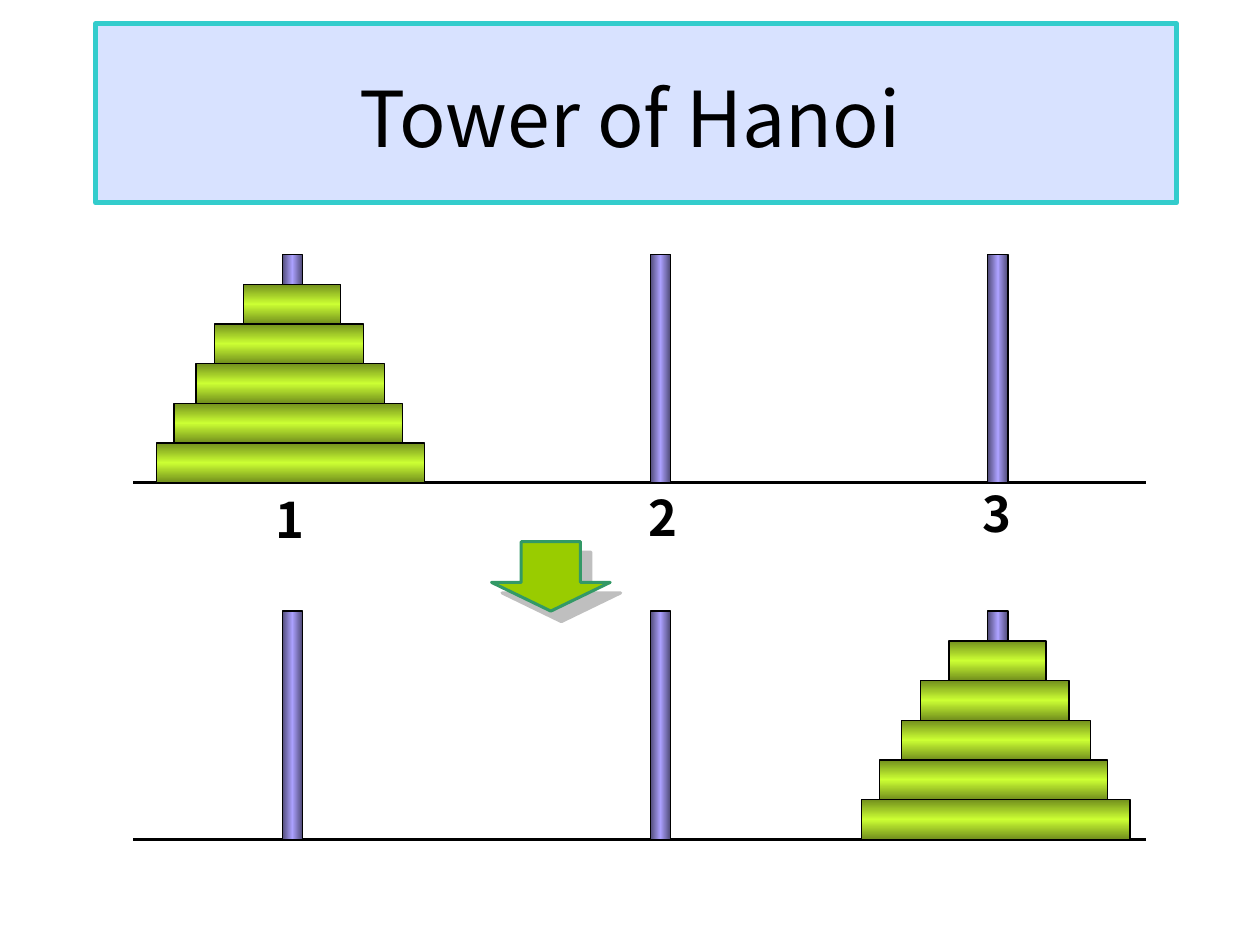
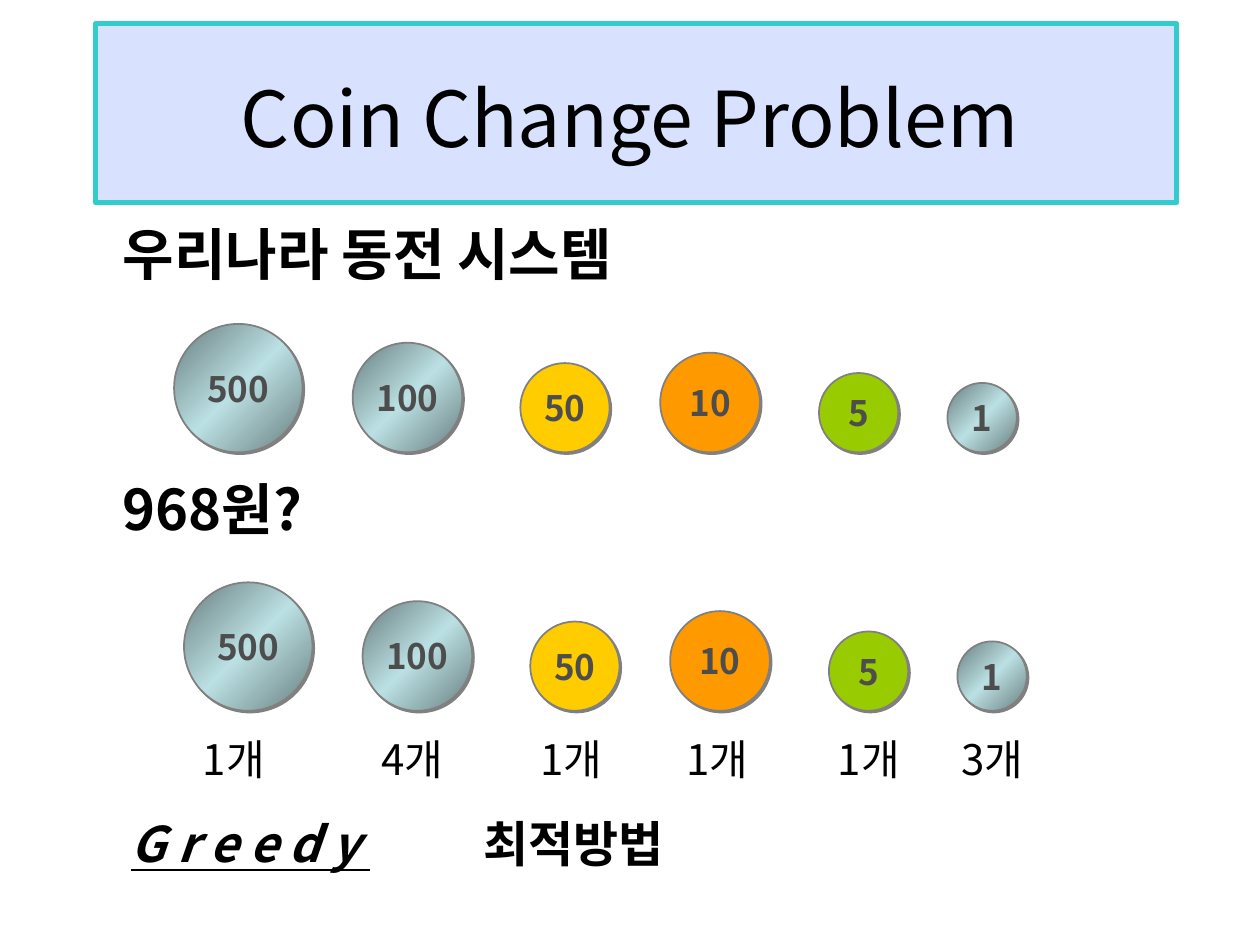
from copy import deepcopy

from lxml import etree
from pptx import Presentation
from pptx import util as u
from pptx.dml.color import RGBColor
from pptx.enum import shapes, text
from pptx.oxml import ns

FONT = "Noto Sans CJK KR"
BLACK = "000000"
PEG_COLOURS = ("4F4A76", "ABA0FE")
DISK_COLOURS = ("728F1D", "CCFF33")
SILVER = ("697E7F", "BBE0E3")
GREEN = "99CC00"
color = RGBColor.from_string


def add_shape(slide, kind, box, fill, line, width, angle=0, shadow=None):
    """fill is one hex colour, or (edge, middle) for a mirrored gradient."""
    shape = slide.shapes.add_shape(kind, *[u.Cm(n) for n in box])
    shape.shadow.inherit = False
    shape.line.color.rgb = color(line)
    shape.line.width = u.Pt(width)
    if isinstance(fill, str):
        shape.fill.solid()
        shape.fill.fore_color.rgb = color(fill)
    else:
        shape.fill.gradient()
        shape.fill.gradient_angle = angle
        stop_list = shape._element.spPr.find(".//" + ns.qn("a:gsLst"))
        stop_list.append(deepcopy(stop_list[0]))
        edge, middle = fill
        for stop, position, value in zip(shape.fill.gradient_stops, (0, 0.5, 1), (edge, middle, edge)):
            stop.position = position
            stop.color.rgb = color(value)
    if shadow:
        distance, alpha = shadow
        effects = shape._element.spPr.find(ns.qn("a:effectLst"))
        outer = etree.SubElement(effects, ns.qn("a:outerShdw"), dist=str(u.Pt(distance)),
                                 dir="2700000", algn="ctr", rotWithShape="0")
        shade = etree.SubElement(outer, ns.qn("a:srgbClr"), val="808080")
        etree.SubElement(shade, ns.qn("a:alpha"), val=str(alpha * 1000))
    return shape


def add_run(paragraph, words, size, bold=False, italic=False, underline=False, colour=BLACK):
    run = paragraph.add_run()
    run.text = words
    font = run.font
    font.size, font.bold, font.italic, font.underline = u.Pt(size), bold, italic, underline
    font.color.rgb = color(colour)
    font.name = FONT
    etree.SubElement(run._r.get_or_add_rPr(), ns.qn("a:ea"), typeface=FONT)


presentation = Presentation()
presentation.slide_width, presentation.slide_height = u.Cm(25.4), u.Cm(19.05)

# Slides with their title bands
slides = []
for layout, words in ((5, "Tower of Hanoi"), (1, "Coin Change Problem")):
    slide = presentation.slides.add_slide(presentation.slide_layouts[layout])
    band = add_shape(slide, shapes.MSO_SHAPE.RECTANGLE, (1.93, 0.48, 21.79, 3.61), "3366FF", "33CCCC", 3)
    tint = band._element.spPr.find(ns.qn("a:solidFill"))[0]
    etree.SubElement(tint, ns.qn("a:alpha"), val="19000")
    slide.shapes._spTree.insert(2, band._element)
    title = slide.shapes.title
    title.left, title.top, title.width, title.height = u.Cm(1.27), u.Cm(0.76), u.Cm(22.86), u.Cm(3.18)
    title.text_frame.auto_size = text.MSO_AUTO_SIZE.NONE
    title.text_frame.vertical_anchor = text.MSO_ANCHOR.MIDDLE
    title.text_frame.paragraphs[0].alignment = text.PP_ALIGN.CENTER
    add_run(title.text_frame.paragraphs[0], words, 44)
    slides.append(slide)
hanoi, coins = slides

# Tower of Hanoi: floors and pegs, before and after
peg_lefts = (5.69, 13.11, 19.91)
floors = (9.73, 16.92)
peg_height, disk_height = 4.6, 0.8
for floor in floors:
    line = hanoi.shapes.add_connector(shapes.MSO_CONNECTOR.STRAIGHT, u.Cm(2.69), u.Cm(floor), u.Cm(23.11), u.Cm(floor))
    line.line.color.rgb = color(BLACK)
    line.line.width = u.Pt(2)
    etree.SubElement(line._element.spPr, ns.qn("a:effectLst"))
    for left in peg_lefts:
        add_shape(hanoi, shapes.MSO_SHAPE.RECTANGLE, (left, floor - peg_height, 0.41, peg_height),
                  PEG_COLOURS, BLACK, 0.75)

# Disks, largest first: offset from the peg, width
disks = ((-2.54, 5.41), (-2.18, 4.6), (-1.74, 3.81), (-1.36, 3.0), (-0.78, 1.96))
for left, floor in ((peg_lefts[0], floors[0]), (peg_lefts[2], floors[1])):
    for level, (offset, width) in enumerate(disks, 1):
        add_shape(hanoi, shapes.MSO_SHAPE.RECTANGLE, (left + offset, floor - level * disk_height, width, disk_height),
                  DISK_COLOURS, BLACK, 0.75, angle=90)

arrow = add_shape(hanoi, shapes.MSO_SHAPE.DOWN_ARROW, (9.91, 10.92, 2.39, 1.4), GREEN, "339966", 1.75, shadow=(8.5, 50))
arrow.adjustments[0], arrow.adjustments[1] = 0.5, 0.413

# Coin change: headings
body = coins.placeholders[1]
body.left, body.top, body.width, body.height = u.Cm(1.27), u.Cm(4.45), u.Cm(22.86), u.Cm(12.57)
frame = body.text_frame
frame.auto_size = text.MSO_AUTO_SIZE.NONE
for paragraph, words, before in ((frame.paragraphs[0], "우리나라 동전 시스템", 0), (frame.add_paragraph(), "968원?", 111)):
    properties = paragraph._p.get_or_add_pPr()
    properties.set("marL", str(u.Cm(0.95)))
    properties.set("indent", "0")
    paragraph.space_before = u.Pt(before)
    paragraph.line_spacing = 0.9
    etree.SubElement(properties, ns.qn("a:buNone"))
    add_run(paragraph, words, 32, bold=True)

# Coins: value, left, diameter, fill
coin_set = (("500", 3.51, 2.59, SILVER), ("100", 7.11, 2.21, SILVER), ("50", 10.49, 1.8, "FFCC00"),
            ("10", 13.31, 2.01, "FF9900"), ("5", 16.51, 1.6, GREEN), ("1", 19.1, 1.4, SILVER))
for shift, bottom in ((0, 9.12), (0.2, 14.33)):
    for value, left, size, fill in coin_set:
        coin = add_shape(coins, shapes.MSO_SHAPE.OVAL, (left + shift, bottom - size, size, size),
                         fill, "808080", 1, angle=315, shadow=(1.4, 100))
        coin.text_frame.word_wrap = False
        coin.text_frame.vertical_anchor = text.MSO_ANCHOR.MIDDLE
        coin.text_frame.paragraphs[0].alignment = text.PP_ALIGN.CENTER
        add_run(coin.text_frame.paragraphs[0], value, 20, bold=True, colour="4D4D4D")

# Labels: peg numbers, coin counts and the method line
labels = [(hanoi, left, top, 1.3, [(number, 28, True)])
          for number, left, top in (("1", 5.31, 9.75), ("2", 12.83, 9.7), ("3", 19.56, 9.63))]
labels += [(coins, left, 14.66, 2.4, [(count, 24)])
           for count, left in (("1개", 3.84), ("4개", 7.44), ("1개", 10.64),
                               ("1개", 13.59), ("1개", 16.64), ("3개", 19.13))]
labels.append((coins, 2.39, 16.28, 11.5, [("G r e e d y ", 28, True, True, True), ("\t최적방법", 28, True)]))
for slide, left, top, width, runs in labels:
    box = slide.shapes.add_textbox(u.Cm(left), u.Cm(top), u.Cm(width), u.Cm(1.4))
    box.text_frame.word_wrap = True
    for run in runs:
        add_run(box.text_frame.paragraphs[0], *run)

# Tab stop between the two parts of the method line
tabs = etree.SubElement(box.text_frame.paragraphs[0]._p.get_or_add_pPr(), ns.qn("a:tabLst"))
etree.SubElement(tabs, ns.qn("a:tab"), pos=str(u.Cm(7.1)), algn="l")

presentation.save("out.pptx")
